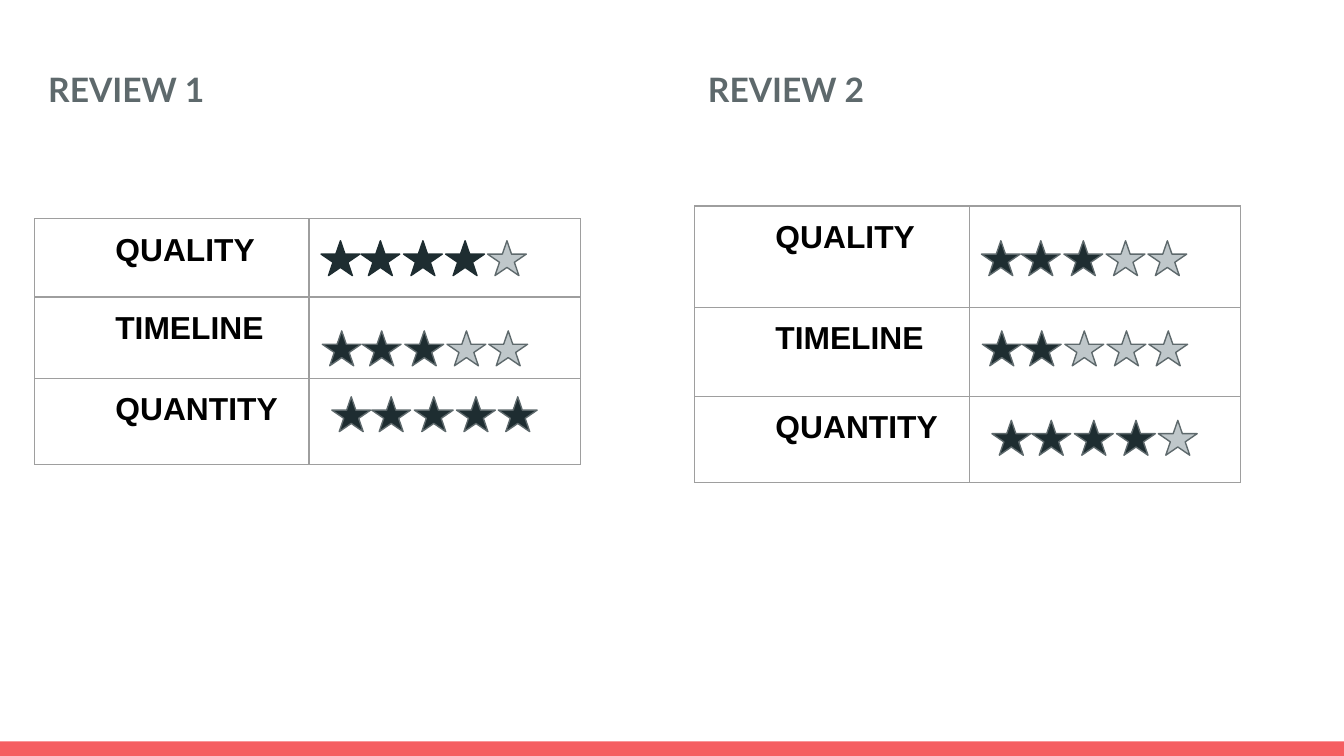
from dataclasses import dataclass

from lxml.etree import SubElement
from pptx import Presentation
from pptx.dml.color import RGBColor
from pptx.enum.shapes import MSO_SHAPE
from pptx.enum.text import MSO_ANCHOR, MSO_AUTO_SIZE, PP_ALIGN
from pptx.oxml.ns import qn
from pptx.shapes.base import BaseShape
from pptx.slide import Slide
from pptx.table import _Cell
from pptx.util import Pt

CORAL = RGBColor(0xF5, 0x5E, 0x61)
SLATE = RGBColor(0x5E, 0x69, 0x6C)
DARK = RGBColor(0x1E, 0x2D, 0x31)
PALE = RGBColor(0xBF, 0xC7, 0xCA)
BLACK = RGBColor(0, 0, 0)
BORDER = RGBColor(0x9E, 0x9E, 0x9E)

HEADING_FORMAT = {"name": "Lato", "size": Pt(18), "bold": True}
LABEL_FORMAT = {"name": "Arial", "size": Pt(17), "bold": True}
FRAME_FORMAT = {
    "word_wrap": True, "auto_size": MSO_AUTO_SIZE.NONE,
    "vertical_anchor": MSO_ANCHOR.TOP,
    "margin_left": Pt(7.2), "margin_right": Pt(7.2),
    "margin_top": Pt(7.2), "margin_bottom": Pt(7.2),
}
CELL_FORMAT = {name: value for name, value in FRAME_FORMAT.items()
               if name.startswith("margin") or name == "vertical_anchor"}

SLIDE_WIDTH, SLIDE_HEIGHT, BAR_HEIGHT = 720, 405, 7.8
COLUMN_WIDTHS = (147, 145.3)
STAR_WIDTH, STAR_HEIGHT = 20.8, 18.7
STAR_OFFSETS = (0, 21.4, 44.2, 66.8, 89.2)


@dataclass(frozen=True)
class Rating:
    label: str
    score: int
    row_height: float
    star_left: float  # measured from the left edge of the review
    star_top: float
    outline: RGBColor = SLATE  # outline of the earned stars


@dataclass(frozen=True)
class Review:
    heading: str
    left: float
    table_top: float
    ratings: tuple[Rating, ...]


REVIEWS = (
    Review("REVIEW 1", 18.6, 117.2, (
        Rating("QUALITY", 4, 41.9, 153.4, 129, DARK),
        Rating("TIMELINE", 3, 43.6, 154.1, 177.3),
        Rating("QUANTITY", 5, 46.2, 159.2, 212.6),
    )),
    Review("REVIEW 2", 372.2, 110.4, (
        Rating("QUALITY", 3, 54.4, 153.6, 129),
        Rating("TIMELINE", 2, 47.7, 154.1, 177.3),
        Rating("QUANTITY", 4, 46.2, 159.2, 225.2),
    )),
)


def apply_format(target: object, values: dict) -> None:
    for name, value in values.items():
        setattr(target, name, value)


def format_heading(shape: BaseShape, review: Review) -> None:
    position = {"left": Pt(review.left), "top": Pt(29.5),
                "width": Pt(228.2), "height": Pt(61.9)}
    apply_format(shape, position)
    frame = shape.text_frame
    apply_format(frame, FRAME_FORMAT)
    paragraph = frame.paragraphs[0]
    paragraph.text = review.heading
    paragraph.alignment = PP_ALIGN.LEFT
    apply_format(paragraph.runs[0].font, HEADING_FORMAT)
    paragraph.runs[0].font.color.rgb = SLATE


def format_cell(cell: _Cell) -> None:
    apply_format(cell, CELL_FORMAT)
    properties = cell._tc.get_or_add_tcPr()
    for side in ("lnL", "lnR", "lnT", "lnB"):
        line = SubElement(properties, qn(f"a:{side}"), w=str(Pt(0.75)))
        fill = SubElement(line, qn("a:solidFill"))
        SubElement(fill, qn("a:srgbClr"), val=str(BORDER))
    cell.fill.background()


def add_rating_table(slide: Slide, review: Review) -> None:
    ratings = review.ratings
    height = sum(rating.row_height for rating in ratings)
    table = slide.shapes.add_table(
        len(ratings), len(COLUMN_WIDTHS), Pt(review.left), Pt(review.table_top),
        Pt(sum(COLUMN_WIDTHS)), Pt(height)).table
    apply_format(table, {"first_row": False, "horz_banding": False})
    for column, width in zip(table.columns, COLUMN_WIDTHS):
        column.width = Pt(width)
    for row, rating in zip(table.rows, ratings):
        row.height = Pt(rating.row_height)
        for cell in row.cells:
            format_cell(cell)
        paragraph = row.cells[0].text_frame.paragraphs[0]
        paragraph.text = rating.label
        paragraph._p.get_or_add_pPr().set("marL", str(Pt(36)))
        apply_format(paragraph.runs[0].font, LABEL_FORMAT)
        paragraph.runs[0].font.color.rgb = BLACK


def add_stars(slide: Slide, review: Review, rating: Rating) -> None:
    for index, offset in enumerate(STAR_OFFSETS):
        earned = index < rating.score
        star = slide.shapes.add_shape(
            MSO_SHAPE.STAR_5_POINT, Pt(review.left + rating.star_left + offset),
            Pt(rating.star_top), Pt(STAR_WIDTH), Pt(STAR_HEIGHT))
        star.shadow.inherit = False
        star.fill.solid()
        star.fill.fore_color.rgb = DARK if earned else PALE
        star.line.color.rgb = rating.outline if earned else SLATE
        star.line.width = Pt(0.75)


def add_bottom_bar(slide: Slide) -> None:
    bar = slide.shapes.add_shape(
        MSO_SHAPE.RECTANGLE, Pt(0), Pt(SLIDE_HEIGHT - BAR_HEIGHT),
        Pt(SLIDE_WIDTH), Pt(BAR_HEIGHT))
    bar.shadow.inherit = False
    bar.fill.solid()
    bar.fill.fore_color.rgb = CORAL
    bar.line.fill.background()


def main() -> None:
    presentation = Presentation()
    presentation.slide_width = Pt(SLIDE_WIDTH)
    presentation.slide_height = Pt(SLIDE_HEIGHT)
    slide = presentation.slides.add_slide(presentation.slide_layouts[5])
    add_bottom_bar(slide)

    # The first heading is the slide title, the second a text box
    second_heading = slide.shapes.add_textbox(Pt(0), Pt(0), Pt(0), Pt(0))
    for shape, review in zip((slide.shapes.title, second_heading), REVIEWS):
        format_heading(shape, review)

    # Tables with their star ratings
    for review in REVIEWS:
        add_rating_table(slide, review)
        for rating in review.ratings:
            add_stars(slide, review, rating)

    presentation.save("out.pptx")


if __name__ == "__main__":
    main()
